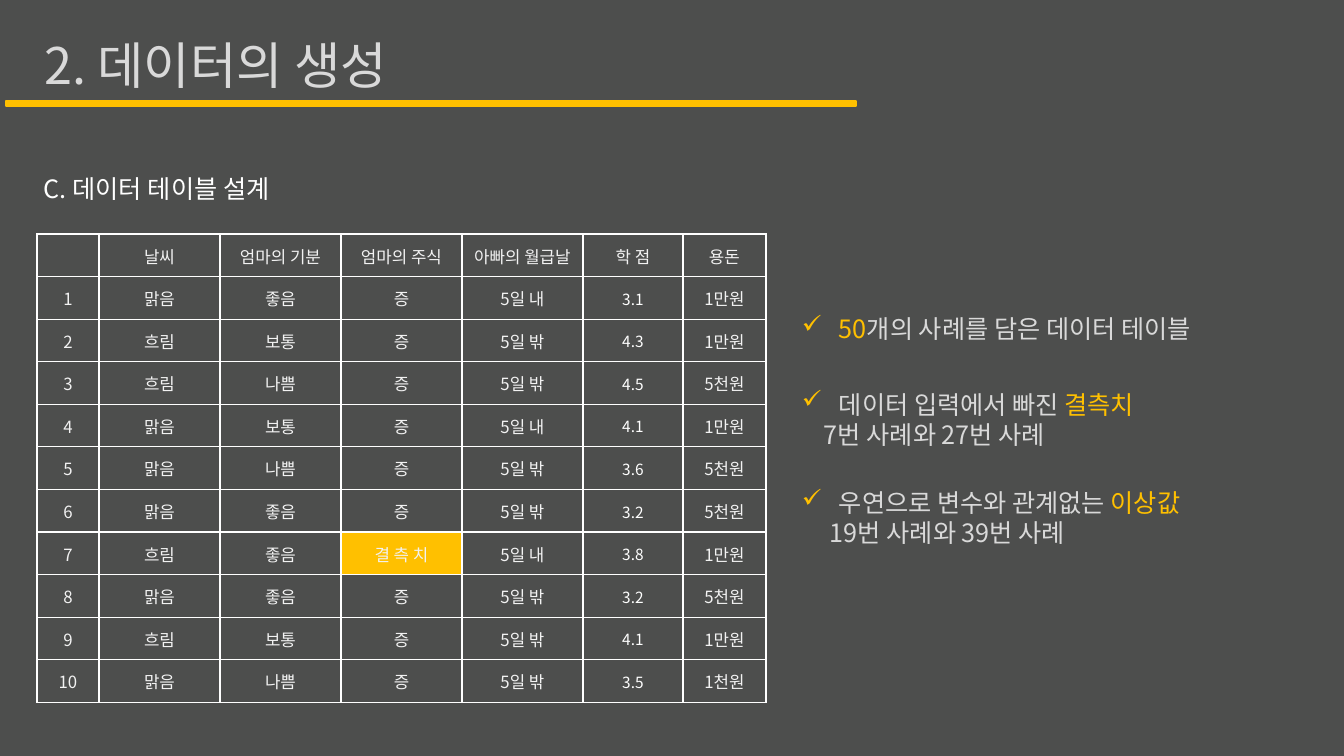
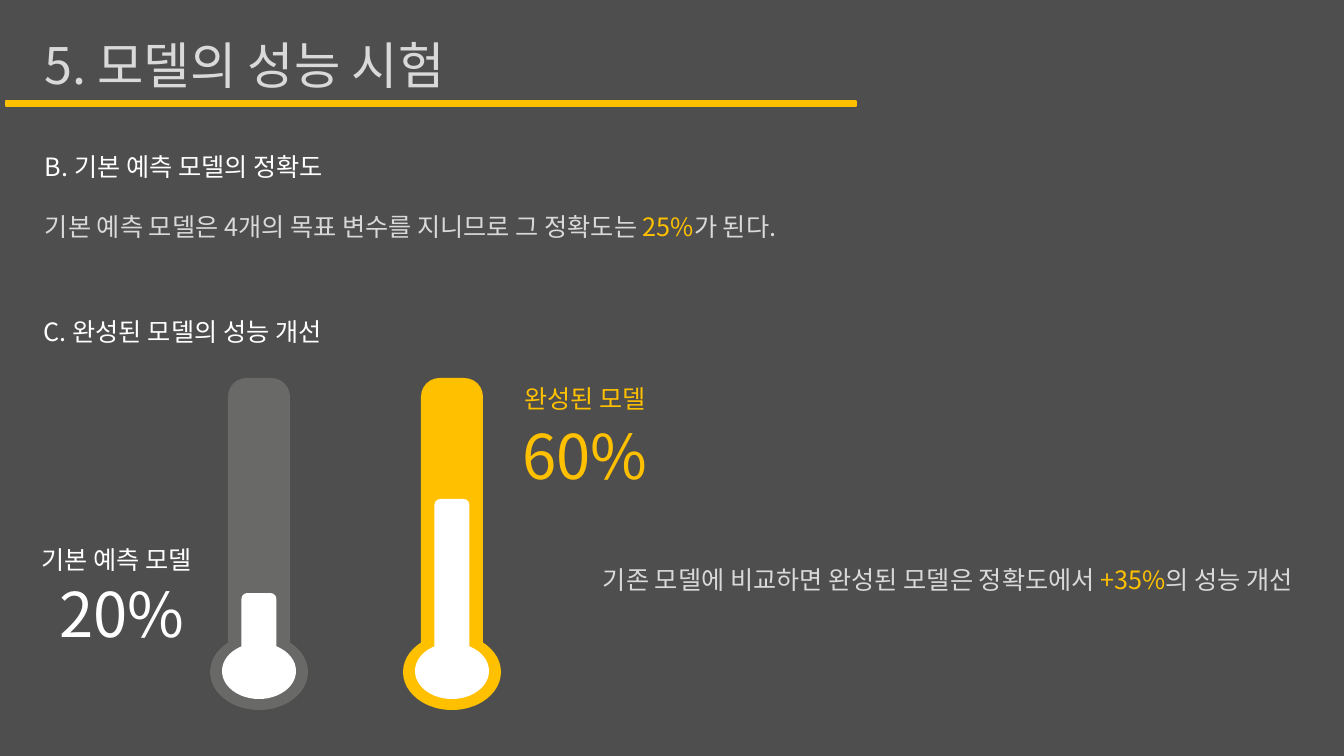
from lxml.etree import SubElement
from pptx import Presentation
from pptx.dml.color import RGBColor
from pptx.enum.shapes import MSO_SHAPE as SHAPE
from pptx.enum.text import MSO_ANCHOR as ANCHOR, MSO_AUTO_SIZE as FIT, PP_ALIGN as ALIGN
from pptx.oxml.ns import qn
from pptx.util import Emu, Pt

PIXEL = 914400 / 100.8
FONT = "Noto Sans CJK KR"
COLORS = {
    "back": "4D4E4D", "accent": "FFC000", "white": "FFFFFF",
    "soft": "D9D9D9", "cell": "F2F2F2", "tube": "696967",
}
COLUMNS = [62, 121, 121, 121, 121, 100, 83]
MISSING = "결 측 치"
SCORE_COLUMN = 5
HEADER = ["", "날씨", "엄마의 기분", "엄마의 주식", "아빠의 월급날", "학 점", "용돈"]
CASES = [
    ["맑음", "좋음", "증", "5일 내", "3.1", "1만원"],
    ["흐림", "보통", "증", "5일 밖", "4.3", "1만원"],
    ["흐림", "나쁨", "증", "5일 밖", "4.5", "5천원"],
    ["맑음", "보통", "증", "5일 내", "4.1", "1만원"],
    ["맑음", "나쁨", "증", "5일 밖", "3.6", "5천원"],
    ["맑음", "좋음", "증", "5일 밖", "3.2", "5천원"],
    ["흐림", "좋음", MISSING, "5일 내", "3.8", "1만원"],
    ["맑음", "좋음", "증", "5일 밖", "3.2", "5천원"],
    ["흐림", "보통", "증", "5일 밖", "4.1", "1만원"],
    ["맑음", "나쁨", "증", "5일 밖", "3.5", "1천원"],
]


def px(*lengths):
    return [Emu(round(length * PIXEL)) for length in lengths]


def rgb(name):
    return RGBColor.from_string(COLORS[name])


def paint(target, color):
    target.fill.solid()
    target.fill.fore_color.rgb = rgb(color)


# Text
def write(para, spans, size, align=ALIGN.LEFT):
    """Fill a paragraph with (text, color) spans of one size."""
    para.alignment = align
    para.font.size = Pt(size)
    para.font.name = FONT
    # East Asian glyphs need the typeface named separately
    SubElement(para.font._element, qn("a:ea"), typeface=FONT)
    if len(spans) == 1:
        para.font.color.rgb = rgb(spans[0][1])
    for text, color in spans:
        span = para.add_run()
        span.text = text
        if len(spans) > 1:
            span.font.color.rgb = rgb(color)


def add_text(slide, place, lines, size=18, align=ALIGN.LEFT):
    frame = slide.shapes.add_textbox(*px(*place)).text_frame
    frame.word_wrap = True
    for index, spans in enumerate(lines):
        para = frame.add_paragraph() if index else frame.paragraphs[0]
        write(para, spans, size, align)
    return frame.paragraphs


def indent(para, left, hanging=0):
    props = para._p.get_or_add_pPr()
    margin, first = px(left, -hanging)
    props.set("marL", str(margin))
    props.set("indent", str(first))
    return props


def add_check(slide, top, lines, second_indent=0):
    """Check-marked statement with an optional indented second line."""
    first, *rest = add_text(slide, (792, top, 547, 31 * len(lines) + 10), lines)
    props = indent(first, 37, 37)
    color = SubElement(props, qn("a:buClr"))
    SubElement(color, qn("a:srgbClr"), val=COLORS["accent"])
    SubElement(props, qn("a:buChar"), char="✓")
    # Bullet properties come before the default run properties
    props.append(props.find(qn("a:defRPr")))
    for para in rest:
        indent(para, second_indent)


# Shapes
def add_block(shapes, kind, place, color):
    block = shapes.add_shape(kind, *px(*place))
    block.shadow.inherit = False
    paint(block, color)
    block.line.fill.background()
    return block


def add_thermometer(slide, center, color, level):
    shapes = slide.shapes.add_group_shape().shapes

    def add_part(kind, width, top, bottom, fill):
        return add_block(shapes, kind, (center - width / 2, top, width, bottom - top), fill)

    add_part(SHAPE.OVAL, 98, 634, 710, color)
    tube = add_part(SHAPE.ROUNDED_RECTANGLE, 62, 378, 669, color)
    tube.adjustments[0] = 0.3
    add_part(SHAPE.OVAL, 74, 643, 699, "white")
    add_part(SHAPE.ROUNDED_RECTANGLE, 35, level, 666, "white")


# Table
def add_borders(cell):
    props = cell._tc.get_or_add_tcPr()
    for index, side in enumerate(("lnL", "lnR", "lnT", "lnB")):
        line = props.makeelement(qn("a:" + side), {"w": str(Pt(1))})
        fill = SubElement(line, qn("a:solidFill"))
        SubElement(fill, qn("a:srgbClr"), val=COLORS["white"])
        props.insert(index, line)


def add_case_table(slide):
    rows = [HEADER] + [[str(number), *case] for number, case in enumerate(CASES, 1)]
    table = slide.shapes.add_table(
        len(rows), len(COLUMNS), *px(37, 234, sum(COLUMNS), 468.6)).table
    for column, width in zip(table.columns, px(*COLUMNS)):
        column.width = width
    for r, row in enumerate(rows):
        for c, text in enumerate(row):
            cell = table.cell(r, c)
            paint(cell, "accent" if text == MISSING else "back")
            add_borders(cell)
            cell.vertical_anchor = ANCHOR.MIDDLE
            cell.margin_left, cell.margin_right, cell.margin_top, cell.margin_bottom = px(1, 1, 1, 0)
            is_score = r > 0 and c == SCORE_COLUMN
            spans = [(text, "white" if is_score else "cell")] if text else []
            write(cell.text_frame.paragraphs[0], spans, 11 if is_score else 12, ALIGN.CENTER)


# Slides
def add_page(deck, heading):
    """Title-only page with its heading and accent band."""
    page = deck.slides.add_slide(deck.slide_layouts[5])
    band = add_block(page.shapes, SHAPE.RECTANGLE, (6, 101, 850, 5), "accent")
    band.line.color.rgb = rgb("accent")
    band.line.width = Pt(1)
    title = page.shapes.title
    title.left, title.top, title.width, title.height = px(34, 29, 1092, 72)
    frame = title.text_frame
    frame.auto_size = FIT.NONE
    frame.vertical_anchor = ANCHOR.TOP
    write(frame.paragraphs[0], [(heading, "soft")], 36)
    return page


def build_data_page(deck):
    page = add_page(deck, "2. 데이터의 생성")
    add_text(page, (34, 168, 507, 40), [[("C. 데이터 테이블 설계", "white")]])
    add_case_table(page)
    add_check(page, 308, [[("50", "accent"), ("개의 사례를 담은 데이터 테이블", "soft")]])
    add_check(page, 384, [
        [("데이터 입력에서 빠진 ", "soft"), ("결측치", "accent")],
        [("7번 사례와 27번 사례", "soft")]], 22)
    add_check(page, 482, [
        [("우연으로 변수와 관계없는 ", "soft"), ("이상값", "accent")],
        [("19번 사례와 39번 사례", "soft")]], 28)


def build_result_page(deck):
    page = add_page(deck, "5. 모델의 성능 시험")
    accuracy = add_text(page, (35, 146, 1183, 102), [
        [("B. 기본 예측 모델의 정확도", "white")],
        [("기본 예측 모델은 4개의 목표 변수를 지니므로 그 정확도는 ", "soft"),
         ("25%", "accent"), ("가 된다.", "soft")]])
    accuracy[1].space_before = Pt(21.6)
    add_text(page, (34, 311, 1183, 72), [[("C. 완성된 모델의 성능 개선", "white")]])

    # Thermometers and their labels
    add_thermometer(page, 259, "tube", 593)
    add_thermometer(page, 452, "accent", 499)
    for place, text, size, color in (
        ((498, 378, 174, 40), "완성된 모델", 18, "accent"),
        ((498, 413, 174, 85), "60%", 44, "accent"),
        ((19, 539, 195, 40), "기본 예측 모델", 18, "white"),
        ((35, 571, 174, 85), "20%", 44, "white"),
    ):
        add_text(page, place, [[(text, color)]], size, ALIGN.CENTER)
    add_text(page, (593, 559, 731, 41), [[
        ("기존 모델에 비교하면 완성된 모델은\u00a0정확도에서\u00a0", "soft"),
        ("+35%", "accent"), ("의 성능 개선", "soft")]])


def main():
    deck = Presentation()
    deck.slide_width, deck.slide_height = px(1344, 756)
    paint(deck.slide_master.background, "back")
    build_data_page(deck)
    build_result_page(deck)
    deck.save("out.pptx")


main()
